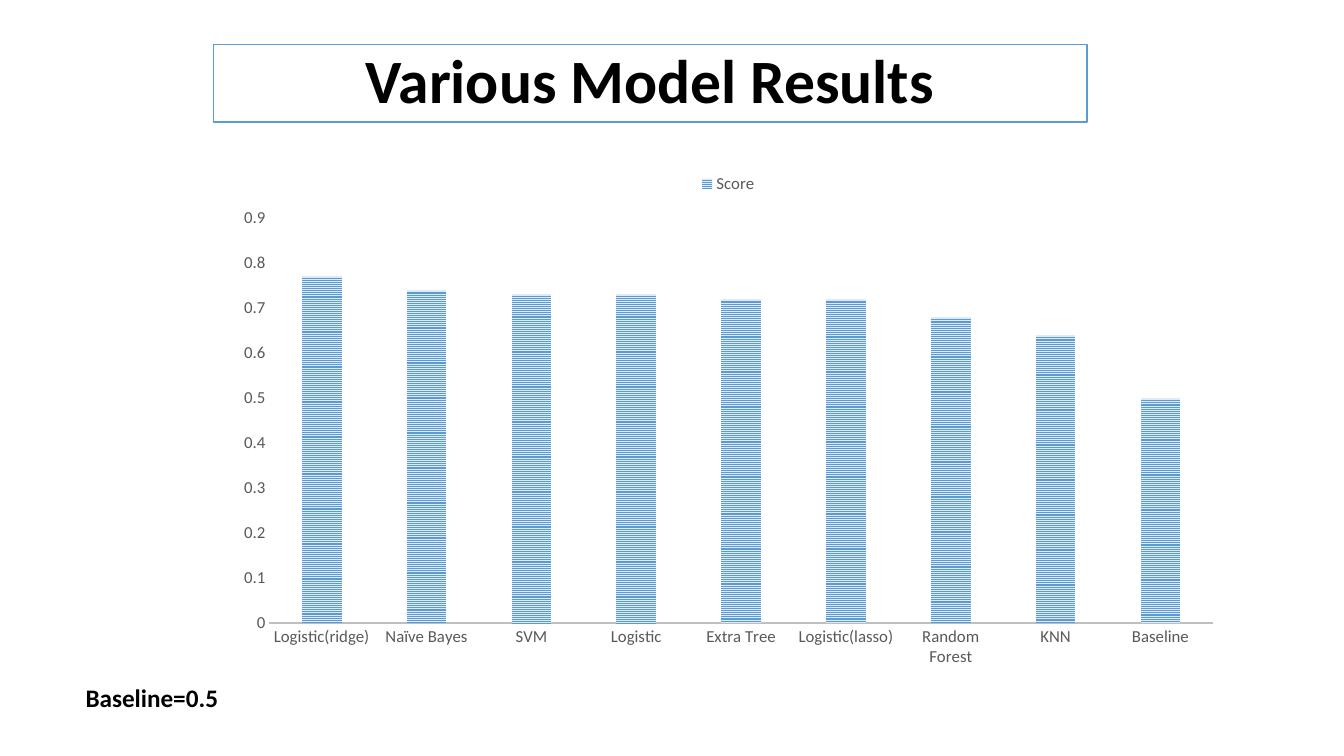
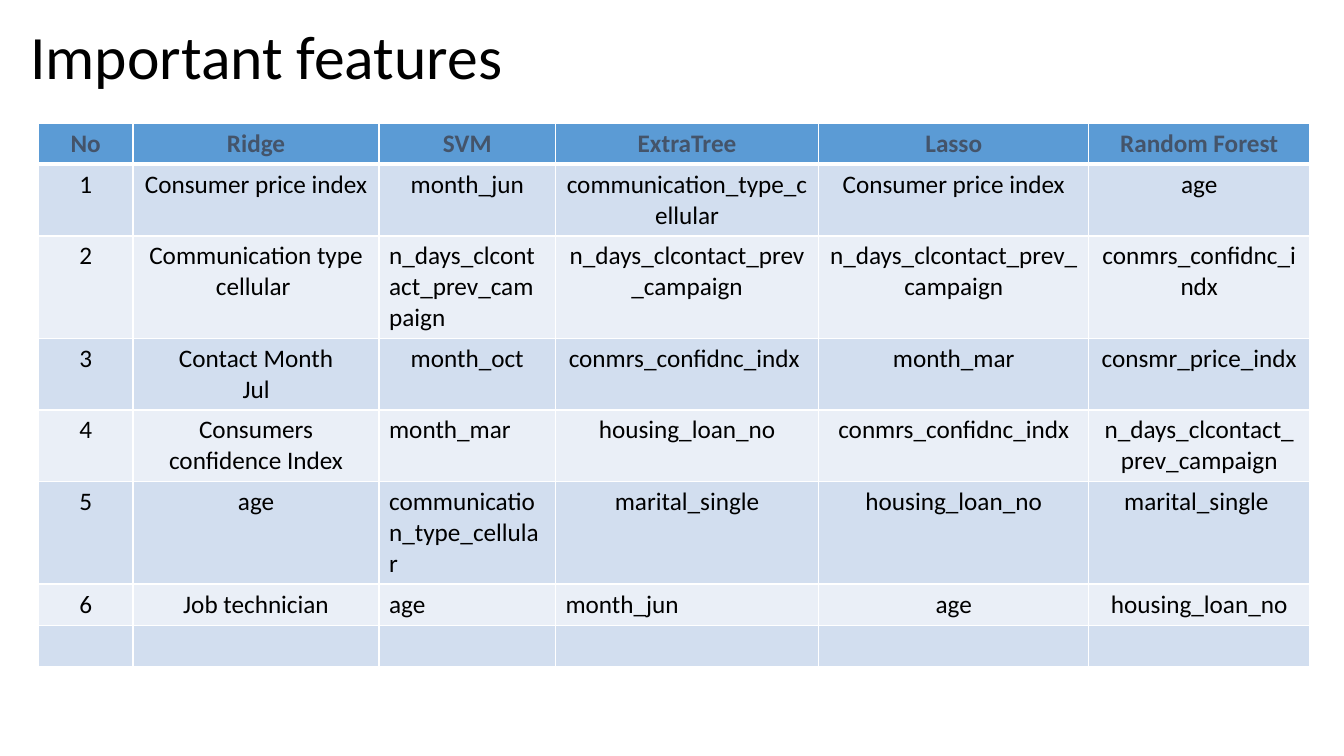
"""Build two slides: a chart of model scores and a table of important features."""
from dataclasses import dataclass
from typing import Any

from lxml import etree
from pptx import Presentation
from pptx.chart.data import CategoryChartData
from pptx.dml.color import RGBColor
from pptx.enum.chart import XL_CHART_TYPE, XL_LEGEND_POSITION, XL_TICK_MARK
from pptx.enum.dml import MSO_PATTERN
from pptx.enum.text import MSO_ANCHOR, MSO_AUTO_SIZE, PP_ALIGN
from pptx.oxml.ns import qn
from pptx.util import Inches, Pt

COLUMN_CLUSTERED = XL_CHART_TYPE.COLUMN_CLUSTERED
LEGEND_TOP = XL_LEGEND_POSITION.TOP
NO_TICK = XL_TICK_MARK.NONE
NARROW_STRIPES = MSO_PATTERN.NARROW_HORIZONTAL
MIDDLE = MSO_ANCHOR.MIDDLE
NO_FIT = MSO_AUTO_SIZE.NONE
LEFT, CENTER = PP_ALIGN.LEFT, PP_ALIGN.CENTER
TITLE_ONLY = 5


@dataclass(frozen=True)
class Theme:
    """Colours, font and type sizes of the deck."""

    font: str = "Calibri"
    text: str = "000000"
    paper: str = "FFFFFF"
    accent: str = "5B9BD5"
    accent_pale: str = "DEEBF7"
    header_text: str = "44546A"
    band_dark: str = "D2DEEF"
    band_light: str = "EAEFF7"
    axis_text: str = "595959"
    axis_line: str = "BFBFBF"
    title_size: float = 44
    body_size: float = 18
    axis_size: float = 12
    title_spacing: float = 0.9
    thin_line: float = 1
    axis_width: float = 1.5
    header_rule: float = 3


@dataclass(frozen=True)
class Area:
    """A rectangle on the page, in inches."""

    left: float
    top: float
    width: float
    height: float

    def lengths(self) -> tuple:
        """Return the rectangle as lengths."""
        return tuple(map(Inches, (self.left, self.top, self.width, self.height)))


@dataclass(frozen=True)
class Title:
    """The title of one page."""

    text: str
    area: Area
    align: Any = LEFT
    bold: bool = False
    framed: bool = False


@dataclass(frozen=True)
class Feature:
    """One table entry and its alignment."""

    text: str
    align: Any = CENTER


THEME = Theme()
RESULTS_TITLE = Title("Various Model Results", Area(2.12, 0.44, 8.66, 0.77),
                      CENTER, bold=True, framed=True)
FEATURES_TITLE = Title("Important features", Area(0.2, 0.08, 11.5, 1.02))
CHART_AREA = Area(2.22, 1.61, 10.01, 5.11)
BASELINE_AREA = Area(0.75, 6.72, 1.53, 0.4)
SCORES = {
    "Logistic(ridge)": 0.77,
    "Naïve Bayes": 0.74,
    "SVM": 0.73,
    "Logistic": 0.73,
    "Extra Tree": 0.72,
    "Logistic(lasso)": 0.72,
    "Random Forest": 0.68,
    "KNN": 0.64,
    "Baseline": 0.5,
}
COLUMN_WIDTHS = (0.94, 2.44, 1.75, 2.61, 2.68, 2.19)
ROW_HEIGHT = 0.41
HEADERS = ("No", "Ridge", "SVM", "ExtraTree", "Lasso", "Random Forest")
CAMPAIGN = "n_days_clcontact_prev_campaign"
CELLULAR = "communication_type_cellular"
RANKED_FEATURES = (
    ("Consumer price index", "month_jun", CELLULAR, "Consumer price index", "age"),
    ("Communication type cellular ", Feature(CAMPAIGN, LEFT), CAMPAIGN, CAMPAIGN,
     "conmrs_confidnc_indx"),
    ("Contact Month\nJul", "month_oct", "conmrs_confidnc_indx ", "month_mar",
     "consmr_price_indx "),
    ("Consumers confidence Index", Feature("month_mar", LEFT), "housing_loan_no",
     "conmrs_confidnc_indx", CAMPAIGN),
    ("age", Feature(CELLULAR, LEFT), "marital_single", "housing_loan_no",
     "marital_single "),
    ("Job technician", Feature("age", LEFT), Feature("month_jun", LEFT), "age",
     "housing_loan_no"),
)


def rgb(color: str) -> RGBColor:
    """Turn a hex string into a colour."""
    return RGBColor.from_string(color)


def style_font(font: Any, size: float, color: str, bold: bool = False) -> None:
    """Set the face, size, colour and weight of a font."""
    font.name = THEME.font
    font.size = Pt(size)
    font.bold = bold
    font.color.rgb = rgb(color)


def write_text(frame: Any, text: str, size: float, color: str,
               bold: bool = False, align: Any = LEFT) -> None:
    """Fill a text frame and format its paragraphs and runs."""
    frame.text = text
    for para in frame.paragraphs:
        para.alignment = align
        for span in para.runs:
            style_font(span.font, size, color, bold)


def add_page(deck: Any, title: Title) -> Any:
    """Add a page with its title placed and formatted."""
    page = deck.slides.add_slide(deck.slide_layouts[TITLE_ONLY])
    box = page.shapes.title
    box.left, box.top, box.width, box.height = title.area.lengths()
    frame = box.text_frame
    write_text(frame, title.text, THEME.title_size, THEME.text, title.bold, title.align)
    frame.auto_size = NO_FIT
    frame.vertical_anchor = MIDDLE
    frame.paragraphs[0].line_spacing = THEME.title_spacing
    if title.framed:
        box.fill.solid()
        box.fill.fore_color.rgb = rgb(THEME.paper)
        box.line.color.rgb = rgb(THEME.accent)
        box.line.width = Pt(THEME.thin_line)
    return page


def add_score_chart(page: Any) -> None:
    """Add the column chart of model scores."""
    data = CategoryChartData()
    data.categories = list(SCORES)
    data.add_series("Score", list(SCORES.values()))
    chart = page.shapes.add_chart(COLUMN_CLUSTERED, *CHART_AREA.lengths(), data).chart
    style_font(chart.font, THEME.axis_size, THEME.axis_text)
    chart.has_title = False
    chart.has_legend = True
    chart.legend.position = LEGEND_TOP
    chart.legend.include_in_layout = False
    style_font(chart.legend.font, THEME.axis_size, THEME.axis_text)

    plot = chart.plots[0]
    plot.gap_width = 164
    plot.overlap = -22
    plot.vary_by_categories = False
    fill = plot.series[0].format.fill
    fill.patterned()
    fill.pattern = NARROW_STRIPES
    fill.fore_color.rgb = rgb(THEME.accent)
    fill.back_color.rgb = rgb(THEME.accent_pale)

    for axis in (chart.category_axis, chart.value_axis):
        axis.has_major_gridlines = False
        axis.major_tick_mark = axis.minor_tick_mark = NO_TICK
        style_font(axis.tick_labels.font, THEME.axis_size, THEME.axis_text)
    chart.category_axis.format.line.color.rgb = rgb(THEME.axis_line)
    chart.category_axis.format.line.width = Pt(THEME.axis_width)
    scale = chart.value_axis
    scale.format.line.fill.background()
    scale.minimum_scale, scale.maximum_scale, scale.major_unit = 0, 0.9, 0.1


def add_baseline_note(page: Any) -> None:
    """Add the baseline score below the chart."""
    box = page.shapes.add_textbox(*BASELINE_AREA.lengths())
    box.text_frame.word_wrap = False
    write_text(box.text_frame, "Baseline=0.5", THEME.body_size, THEME.text, bold=True)


def set_borders(cell: Any, top: float, bottom: float) -> None:
    """Draw the four borders of a cell."""
    properties = cell._tc.get_or_add_tcPr()
    widths = {"L": THEME.thin_line, "R": THEME.thin_line, "T": top, "B": bottom}
    for side, width in widths.items():
        line = etree.SubElement(properties, qn(f"a:ln{side}"), w=str(Pt(width)))
        paint = etree.SubElement(line, qn("a:solidFill"))
        etree.SubElement(paint, qn("a:srgbClr"), val=THEME.paper)


def draw_cell(cell: Any, entry: Feature, row: int) -> None:
    """Write one cell with the borders, fill and type of its row."""
    header = row == 0
    set_borders(cell,
                top=THEME.header_rule if row == 1 else THEME.thin_line,
                bottom=THEME.header_rule if header else THEME.thin_line)
    band = THEME.band_dark if row % 2 else THEME.band_light
    cell.fill.solid()
    cell.fill.fore_color.rgb = rgb(THEME.accent if header else band)
    color = THEME.header_text if header else THEME.text
    write_text(cell.text_frame, entry.text, THEME.body_size, color, header, entry.align)


def add_feature_table(page: Any) -> None:
    """Add the table of ranked features, closed by an empty row."""
    ranked = [(str(rank), *names) for rank, names in enumerate(RANKED_FEATURES, 1)]
    rows = [HEADERS, *ranked, ("",) * len(HEADERS)]
    area = Area(0.38, 1.22, sum(COLUMN_WIDTHS), ROW_HEIGHT * len(rows))
    table = page.shapes.add_table(len(rows), len(HEADERS), *area.lengths()).table
    for column, width in zip(table.columns, COLUMN_WIDTHS):
        column.width = Inches(width)
    for row, entries in enumerate(rows):
        table.rows[row].height = Inches(ROW_HEIGHT)
        for column, entry in enumerate(entries):
            feature = entry if isinstance(entry, Feature) else Feature(entry)
            draw_cell(table.cell(row, column), feature, row)


def main() -> None:
    """Build and save the deck."""
    deck = Presentation()
    deck.slide_width, deck.slide_height = Inches(13.33), Inches(7.5)
    results = add_page(deck, RESULTS_TITLE)
    add_score_chart(results)
    add_baseline_note(results)
    features = add_page(deck, FEATURES_TITLE)
    add_feature_table(features)
    deck.save("out.pptx")


main()
